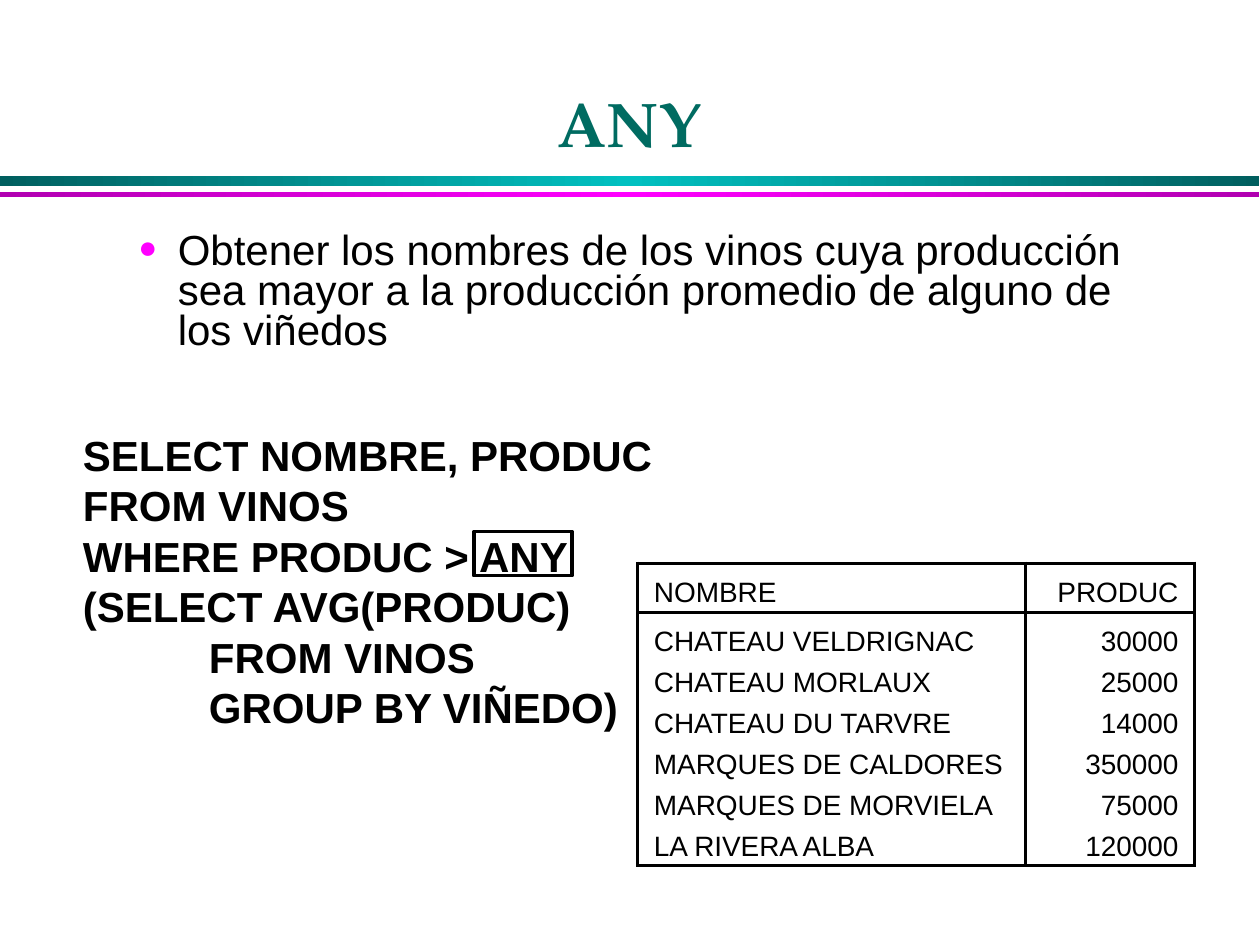
from copy import deepcopy

from lxml import etree
from pptx import Presentation
from pptx.dml.color import RGBColor
from pptx.enum.shapes import MSO_SHAPE
from pptx.enum.text import MSO_ANCHOR, PP_ALIGN
from pptx.oxml.ns import qn
from pptx.util import Pt

RECT = MSO_SHAPE.RECTANGLE
TOP, BOTTOM = MSO_ANCHOR.TOP, MSO_ANCHOR.BOTTOM
LEFT, CENTER, RIGHT = PP_ALIGN.LEFT, PP_ALIGN.CENTER, PP_ALIGN.RIGHT
SANS, SERIF = "Arial", "TeX Gyre Pagella"
BLACK, GREEN, PINK = "000000", "006B61", "FF00FF"

CODE = [
    ("SELECT NOMBRE, PRODUC", 0),
    ("FROM VINOS", 0),
    ("WHERE PRODUC > ANY", 0),
    ("(SELECT AVG(PRODUC)", 0),
    ("FROM VINOS", 72),
    ("GROUP BY VIÑEDO)", 72),
]
WINES = [
    ("NOMBRE", "PRODUC"),
    ("CHATEAU VELDRIGNAC", "30000"),
    ("CHATEAU MORLAUX", "25000"),
    ("CHATEAU DU TARVRE", "14000"),
    ("MARQUES DE CALDORES", "350000"),
    ("MARQUES DE MORVIELA", "75000"),
    ("LA RIVERA ALBA", "120000"),
]


def color(code):
    return RGBColor.from_string(code)


def add(parent, tag, **attrs):
    return etree.SubElement(parent, qn(tag), attrs)


class Deck:
    """Holds the style and the current slide, and draws each kind of element."""

    def __init__(self):
        self.show = Presentation()
        self.show.slide_width, self.show.slide_height = Pt(720), Pt(540)
        self.slide = self.show.slides.add_slide(self.show.slide_layouts[6])

    def style(self, para, size, font=SANS, ink=BLACK, bold=False, align=LEFT):
        para.alignment = align
        para.font.size, para.font.name, para.font.bold = Pt(size), font, bold
        para.font.color.rgb = color(ink)

    def rect(self, x, y, w, h):
        shape = self.slide.shapes.add_shape(RECT, Pt(x), Pt(y), Pt(w), Pt(h))
        shape.shadow.inherit = False
        return shape

    def band(self, y, h, edge, mid):
        shape = self.rect(0, y, 719.5, h)
        shape.line.fill.background()
        shape.fill.gradient()
        shape.fill.gradient_angle = 0
        first = next(shape._element.spPr.iter(qn("a:gs")))
        first.addnext(deepcopy(first))
        for stop, spot, code in zip(shape.fill.gradient_stops, (0, 0.5, 1), (edge, mid, edge)):
            stop.position = spot
            stop.color.rgb = color(code)

    def frame(self, x, y, w, h):
        shape = self.rect(x, y, w, h)
        shape.fill.background()
        shape.line.color.rgb = color(BLACK)
        shape.line.width = Pt(2)

    def text(self, x, y, w, h, lines, size, space, wrap=True, anchor=TOP, dot=None, **look):
        frame = self.slide.shapes.add_textbox(Pt(x), Pt(y), Pt(w), Pt(h)).text_frame
        frame.word_wrap, frame.vertical_anchor = wrap, anchor
        for i, (words, indent) in enumerate(lines):
            para = frame.add_paragraph() if i else frame.paragraphs[0]
            para.text, para.line_spacing = words, space
            props = para._p.get_or_add_pPr()
            if indent:
                props.set("marL", str(Pt(indent)))
            if dot:
                props.set("indent", str(-Pt(indent)))
                add(add(props, "a:buClr"), "a:srgbClr", val=dot)
                add(props, "a:buSzPct", val="75000")
                add(props, "a:buFont", typeface=SANS)
                add(props, "a:buChar", char="●")
            self.style(para, size, **look)

    def border(self, cell, shown):
        props = cell._tc.get_or_add_tcPr()
        for side in "LRTB":
            line = add(props, "a:ln" + side, w=str(Pt(2)))
            if side in shown:
                add(add(line, "a:solidFill"), "a:srgbClr", val=BLACK)
            else:
                add(line, "a:noFill")

    def table(self, x, y, rows, widths, heights):
        shape = self.slide.shapes.add_table(
            len(rows), len(widths), Pt(x), Pt(y), Pt(sum(widths)), Pt(sum(heights)))
        table = shape.table
        table.first_row = table.horz_banding = False
        for col, width in zip(table.columns, widths):
            col.width = Pt(width)
        for i, (row, height) in enumerate(zip(rows, heights)):
            table.rows[i].height = Pt(height)
            for j, words in enumerate(row):
                cell = table.cell(i, j)
                cell.text, cell.vertical_anchor = words, BOTTOM
                cell.margin_left = cell.margin_right = Pt(9.4)
                cell.margin_top, cell.margin_bottom = 0, Pt(2)
                top = "T" if i < 2 else ""
                low = "B" if i in (0, len(rows) - 1) else ""
                self.border(cell, "LR" + top + low)
                cell.fill.background()
                self.style(cell.text_frame.paragraphs[0], 16, align=RIGHT if j else LEFT)


def main():
    deck = Deck()
    deck.band(100.8, 5.6, "005F5F", "00C0C0")
    deck.band(109.6, 3, "B100B1", PINK)
    deck.text(77.8, 5.8, 563.8, 90, [("ANY", 0)], 36, 0.9, anchor=BOTTOM,
              font=SERIF, ink=GREEN, bold=True, align=CENTER)
    task = ("Obtener los nombres de los vinos cuya producción sea mayor "
            "a la producción promedio de alguno de los viñedos")
    deck.text(72, 129.6, 579.6, 84.2, [(task, 22.5)], 24, 0.8, dot=PINK)
    deck.text(40.3, 241.9, 339.8, 180, CODE, 24, Pt(28.8), wrap=False, bold=True)
    deck.frame(270.7, 303.8, 56.2, 25.2)
    deck.table(364.3, 321.8, WINES, (221.8, 96.7), [28, 28] + [23.4] * 5)
    deck.show.save("out.pptx")


if __name__ == "__main__":
    main()
